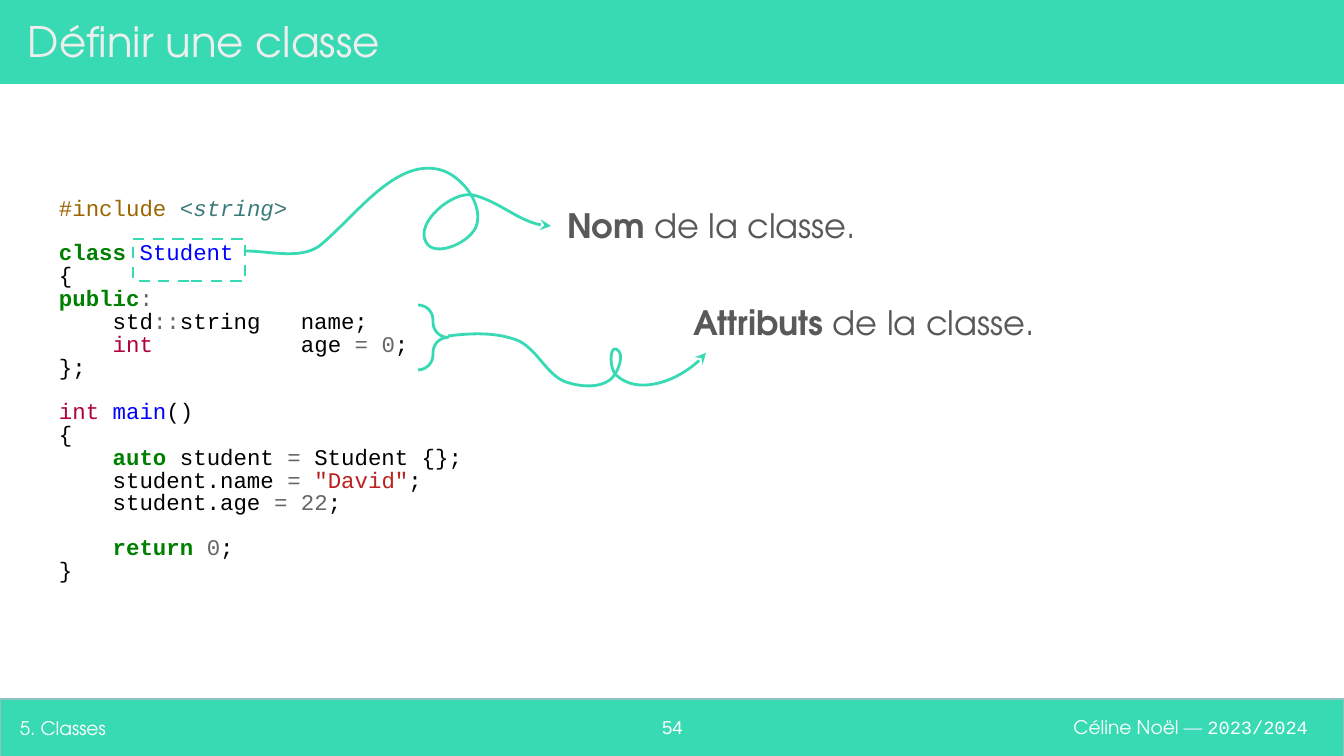
from pptx import Presentation
from pptx.dml.color import RGBColor
from pptx.enum.dml import MSO_LINE_DASH_STYLE as Dash
from pptx.enum.shapes import MSO_SHAPE as Preset
from pptx.enum.text import MSO_ANCHOR as Anchor, MSO_AUTO_SIZE as AutoSize, PP_ALIGN as Align
from pptx.oxml.ns import qn
from pptx.util import Pt
from lxml.etree import SubElement

PX = 914400 / 134.4
SANS, MONO = "TeX Gyre Adventor", "Courier New"
COLORS = {
    "accent": "38DAB3", "footer edge": "93C0C5", "title": "EEEEEE", "white": "FFFFFF",
    "dash": "E2EEFF", "label": "595959", "plain": "000000", "keyword": "008000",
    "name": "0000FF", "type": "B00040", "operator": "666666", "string": "BA2121",
    "directive": "9C6500", "header": "3D7B7B",
}
BOLD, ITALIC = {"keyword"}, {"header"}

# One list of (text, colour) runs per line; an empty list is a blank line
CODE = [
    [("#include ", "directive"), ("<string>", "header")],
    [],
    [("class ", "keyword"), ("Student", "name")],
    [("{", "plain")],
    [("public", "keyword"), (":", "operator")],
    [("    std", "plain"), ("::", "operator"), ("string   name;", "plain")],
    [("    int           ", "type"), ("age ", "plain"), ("= 0", "operator"), (";", "plain")],
    [("};", "plain")],
    [],
    [("int ", "type"), ("main", "name"), ("()", "plain")],
    [("{", "plain")],
    [("    auto ", "keyword"), ("student ", "plain"), ("= ", "operator"), ("Student {};", "plain")],
    [("    student.name ", "plain"), ("= ", "operator"), ('"David"', "string"), (";", "plain")],
    [("    student.age ", "plain"), ("= 22", "operator"), (";", "plain")],
    [],
    [("    return ", "keyword"), ("0", "operator"), (";", "plain")],
    [("}", "plain")],
]

# Bézier points: the start, then two controls and an end for each segment
NAME_CURVE = [
    (245, 251), (271, 251), (304, 261), (323, 243), (359, 212), (399, 155), (444, 171),
    (464, 179), (482, 204), (477, 224), (473, 242), (434, 259), (426, 242),
    (415, 223), (452, 191), (473, 195), (500, 202), (523, 226), (551, 226),
]
ATTRIBUTE_CURVE = [
    (448, 336), (472, 333), (497, 332), (519, 341), (539, 351), (548, 378), (569, 383),
    (582, 387), (599, 388), (610, 380), (618, 374), (626, 353), (616, 349),
    (609, 347), (610, 370), (616, 375), (638, 396), (687, 378), (706, 353),
]


def px(*values):
    return [round(value * PX) for value in values]


def rgb(name):
    return RGBColor.from_string(COLORS[name])


def add_run(paragraph, text, size, font, color, bold=False, italic=False):
    run = paragraph.add_run()
    run.text = text
    run.font.size, run.font.name = Pt(size), font
    run.font.bold, run.font.italic = bold, italic
    run.font.color.rgb = rgb(color)


def set_frame(shape, anchor=Anchor.MIDDLE, align=Align.LEFT):
    frame = shape.text_frame
    frame.word_wrap, frame.auto_size = True, AutoSize.NONE
    frame.vertical_anchor = anchor
    frame.margin_left, frame.margin_top, frame.margin_right, frame.margin_bottom = px(13, 13, 13, 13)
    frame.paragraphs[0].alignment = align
    return frame


def add_text(slide, box, runs, **layout):
    frame = set_frame(slide.shapes.add_textbox(*px(*box)), **layout)
    for run in runs:
        add_run(frame.paragraphs[0], *run)


def style_line(shape, color="accent", width=1.5):
    shape.shadow.inherit = False
    shape.line.color.rgb = rgb(color)
    shape.line.width = Pt(width)


def add_band(slide, box, edge=None):
    band = slide.shapes.add_shape(Preset.RECTANGLE, *px(*box))
    band.shadow.inherit = False
    band.fill.solid()
    band.fill.fore_color.rgb = rgb("accent")
    if edge:
        style_line(band, edge, 0.75)
    else:
        band.line.fill.background()


def add_outline(slide, preset, box):
    shape = slide.shapes.add_shape(preset, *px(*box))
    shape.fill.background()
    style_line(shape)
    return shape


def add_code(slide, box):
    frame = set_frame(slide.shapes.add_textbox(*px(*box)))
    paragraph, gap = frame.paragraphs[0], 0
    for index, line in enumerate(CODE):
        if not line:
            gap = 11.5
            continue
        if index:
            paragraph = frame.add_paragraph()
        paragraph.line_spacing = 0.85
        if gap:
            paragraph.space_before = Pt(gap)
            gap = 0
        for text, kind in line:
            add_run(paragraph, text, 12, MONO, kind, kind in BOLD, kind in ITALIC)


def add_curved_arrow(slide, points):
    builder = slide.shapes.build_freeform(*px(*points[0]), scale=1.0)
    builder.add_line_segments([px(*point) for point in points[3::3]], close=False)
    shape = builder.convert_to_shape()
    # Turn each straight segment into a cubic one
    for index, segment in enumerate(list(shape._element.iter(qn("a:lnTo")))):
        segment.tag = qn("a:cubicBezTo")
        segment.clear()
        for point in points[3 * index + 1:3 * index + 4]:
            x, y = px(*point)
            SubElement(segment, qn("a:pt"), x=str(x - shape.left), y=str(y - shape.top))
    shape.fill.background()
    style_line(shape)
    SubElement(shape.line._get_or_add_ln(), qn("a:tailEnd"), type="stealth")


def main():
    presentation = Presentation()
    presentation.slide_width, presentation.slide_height = px(1344, 756)
    slide = presentation.slides.add_slide(presentation.slide_layouts[5])

    # Header and footer
    add_band(slide, (0, 699, 1344, 59), "footer edge")
    add_band(slide, (0, 0, 1344, 84))
    title = slide.shapes.title
    title.left, title.top, title.width, title.height = px(15, 8, 1274, 65)
    add_run(set_frame(title).paragraphs[0], "Définir une classe", 22.5, SANS, "title")
    slide.shapes._spTree.append(title._element)  # in front of the header band
    add_text(slide, (965, 698, 356, 59),
             [("Céline Noël ", 10, SANS, "white"), ("— ", 10, SANS, "dash"),
              ("2023/2024", 10, MONO, "white")], align=Align.RIGHT)
    add_text(slide, (632, 703, 81, 48), [("54", 10, "Arial", "white")],
             anchor=Anchor.TOP, align=Align.CENTER)
    add_text(slide, (7, 699, 610, 59), [("5. Classes", 10, SANS, "white")])

    # Code and its labels
    add_code(slide, (46, 94, 1250, 593))
    for left, top, term in ((554, 188, "Nom"), (680, 285, "Attributs")):
        add_text(slide, (left, top, 448, 75),
                 [(term, 18, SANS, "label", True), (" de la classe.", 18, SANS, "label")])

    # Marks around the code, and arrows to the labels
    add_outline(slide, Preset.RECTANGLE, (133, 239, 112, 42)).line.dash_style = Dash.DASH
    brace = add_outline(slide, Preset.RIGHT_BRACE, (418, 305, 30, 65))
    brace.adjustments[0] = brace.adjustments[1] = 0.5
    for curve in (NAME_CURVE, ATTRIBUTE_CURVE):
        add_curved_arrow(slide, curve)

    presentation.save("out.pptx")


if __name__ == "__main__":
    main()
